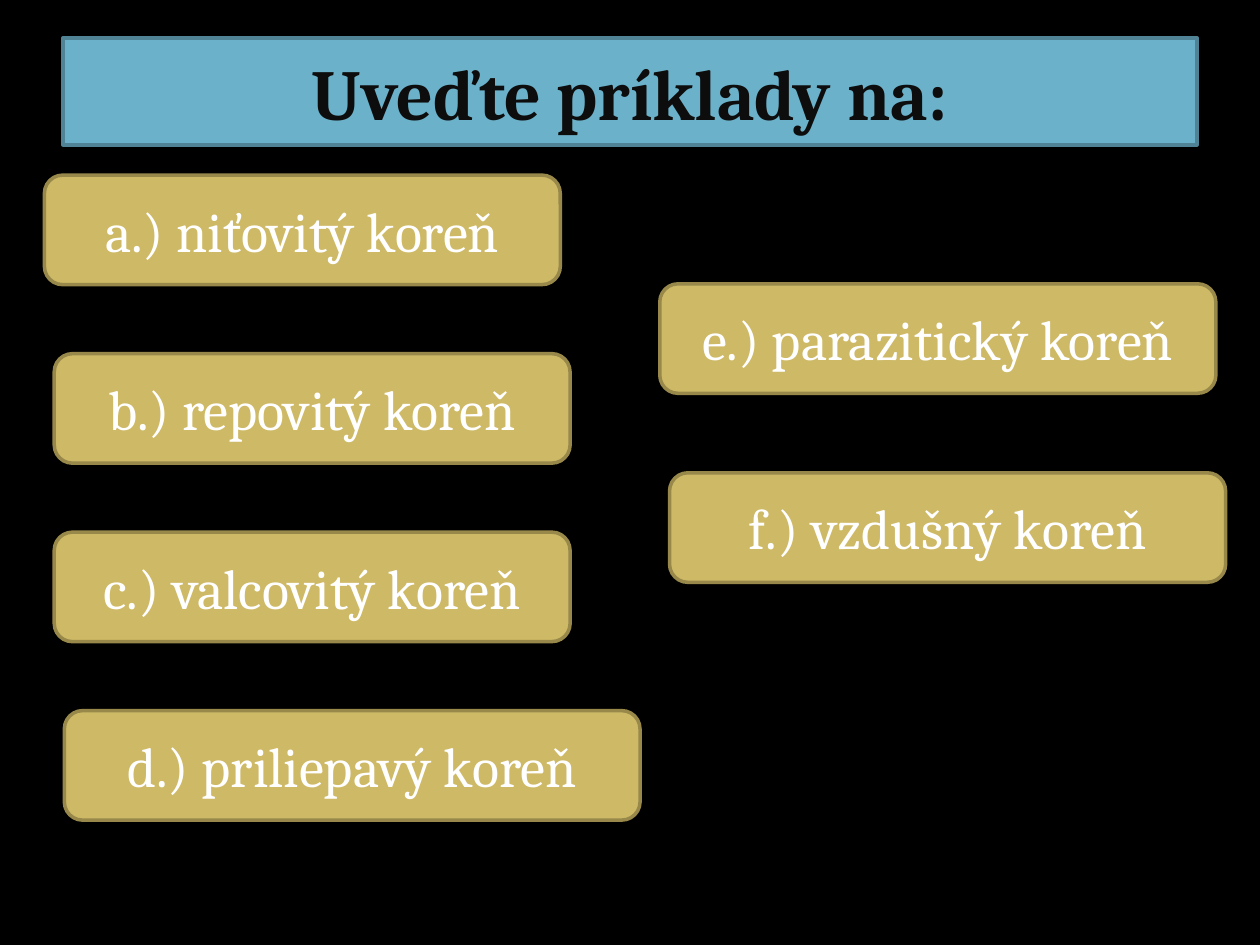
from pptx import Presentation
from pptx.dml.color import RGBColor
from pptx.enum.shapes import MSO_SHAPE
from pptx.enum.text import MSO_ANCHOR, PP_ALIGN
from pptx.util import Pt

RECT = MSO_SHAPE.RECTANGLE
ROUND = MSO_SHAPE.ROUNDED_RECTANGLE
MIDDLE = MSO_ANCHOR.MIDDLE
CENTER = PP_ALIGN.CENTER
BLANK = 6


def color(code):
    return RGBColor.from_string(code)


def add_box(text, left, top, width, height=62.6, kind=ROUND, fill="CEB966",
            line="98894B", size=32, ink="FFFFFF", bold=False):
    """Add a filled, outlined shape with one centred line of text."""
    box = slide.shapes.add_shape(kind, Pt(left), Pt(top), Pt(width), Pt(height))
    box.shadow.inherit = False
    box.fill.solid()
    box.fill.fore_color.rgb = color(fill)
    box.line.color.rgb = color(line)
    box.line.width = Pt(2)
    frame = box.text_frame
    frame.word_wrap = True
    frame.vertical_anchor = MIDDLE
    para = frame.paragraphs[0]
    para.alignment = CENTER
    run = para.add_run()
    run.text = text
    run.font.name = "Cambria"
    run.font.size = Pt(size)
    run.font.bold = bold
    run.font.color.rgb = color(ink)


deck = Presentation()
deck.slide_width, deck.slide_height = Pt(720), Pt(540)
slide = deck.slides.add_slide(deck.slide_layouts[BLANK])
slide.background.fill.solid()
slide.background.fill.fore_color.rgb = color("000000")

add_box("Uveďte príklady na:", 36, 21.6, 648, 61.2, kind=RECT, fill="6BB1C9",
        line="4F8395", size=41, ink="0D0D0D", bold=True)

# Each column: first top, step down, then (text, left, width) per root type
columns = [
    (100.1, 102, [
        ("a.) niťovitý koreň", 25.4, 294.8),
        ("b.) repovitý koreň", 31, 294.8),
        ("c.) valcovitý koreň", 31, 294.8),
        ("d.) priliepavý koreň", 36.8, 329),
    ]),
    (162.2, 108, [
        ("e.) parazitický koreň", 377, 317.8),
        ("f.) vzdušný koreň", 382.6, 317.8),
    ]),
]
for top, step, roots in columns:
    for row, (text, left, width) in enumerate(roots):
        add_box(text, left, top + row * step, width)

deck.save("out.pptx")
